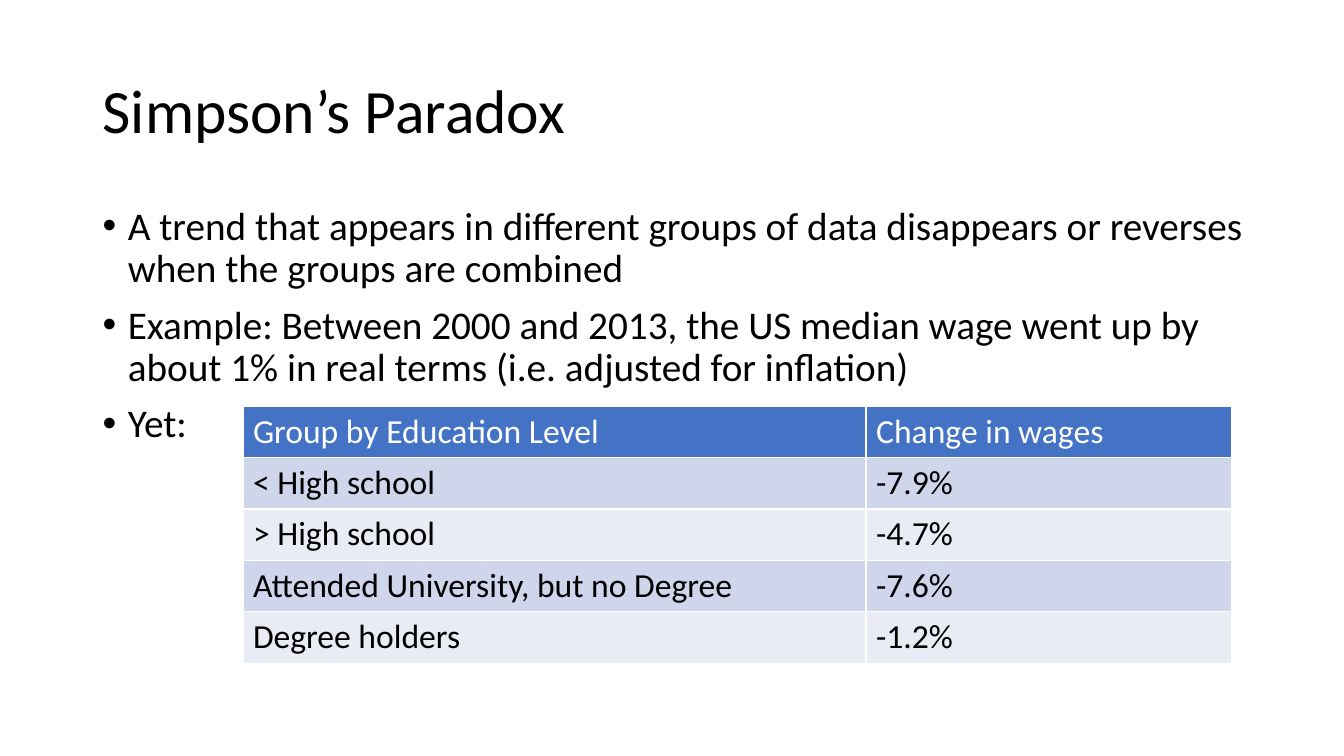
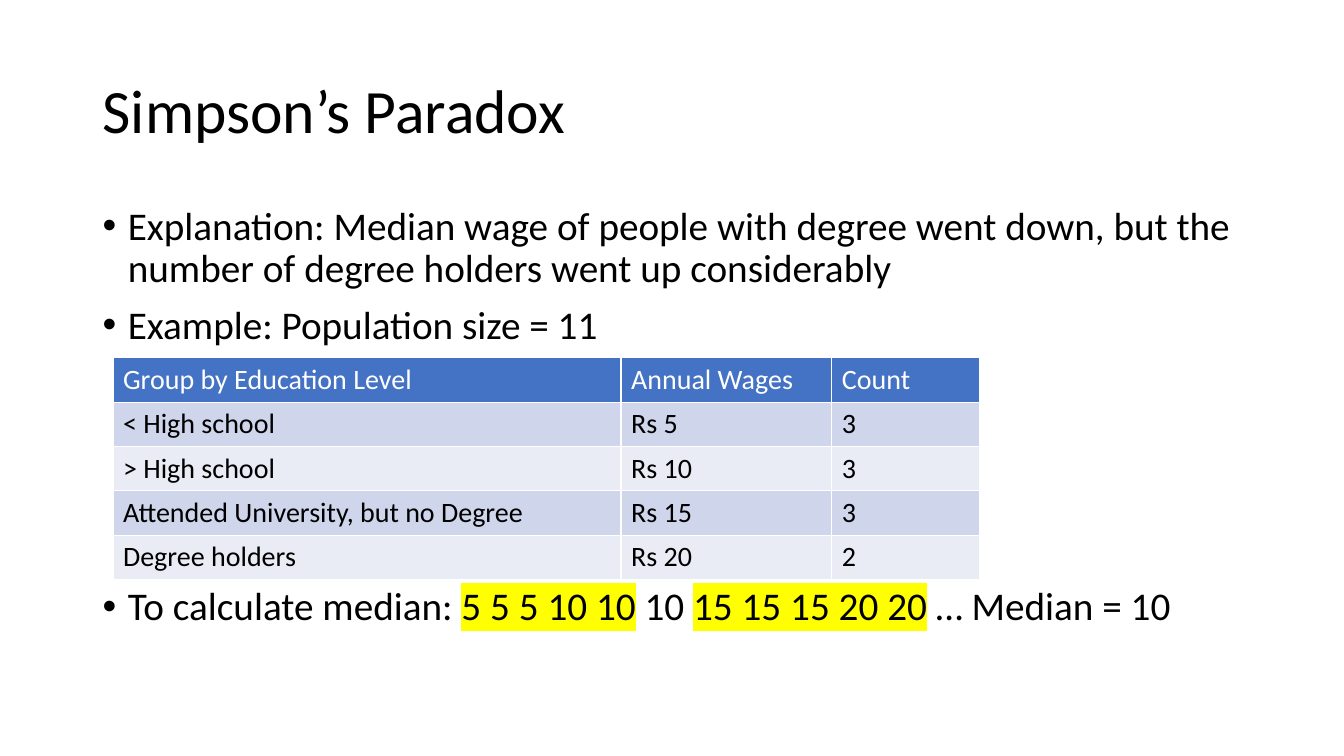
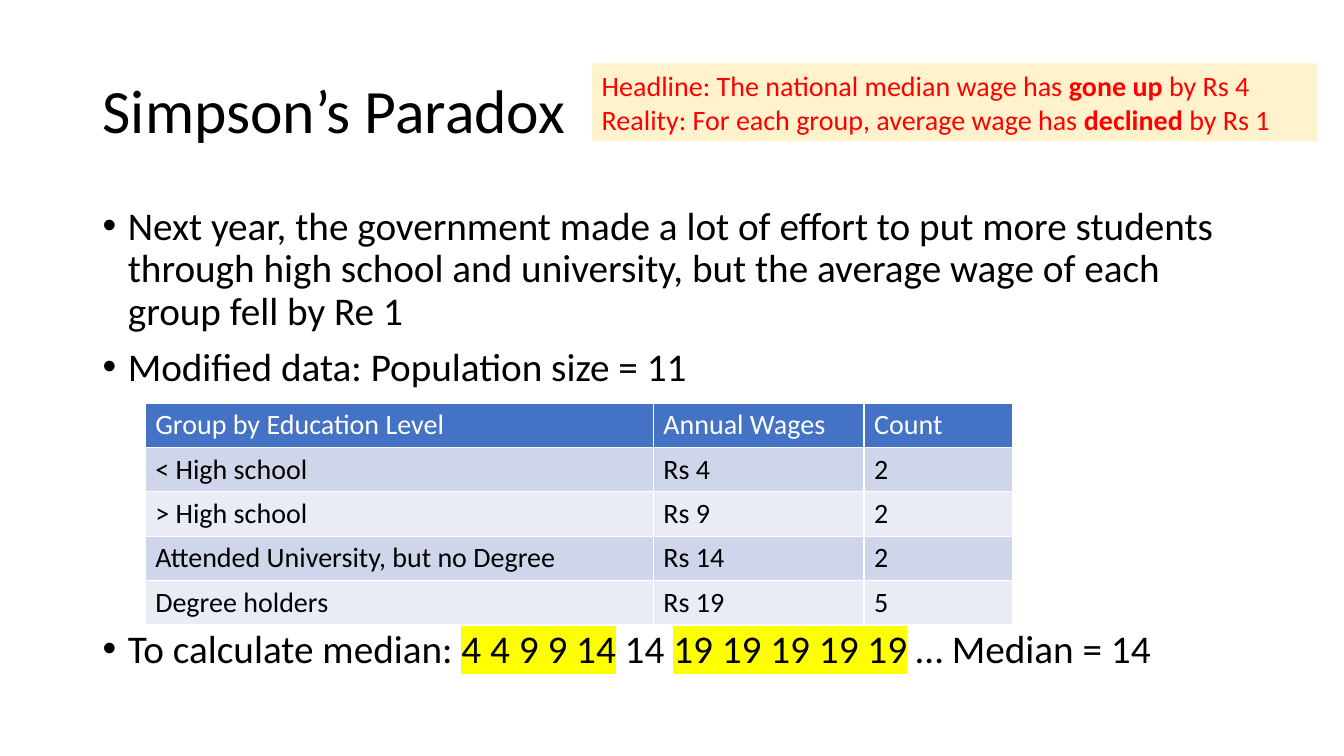
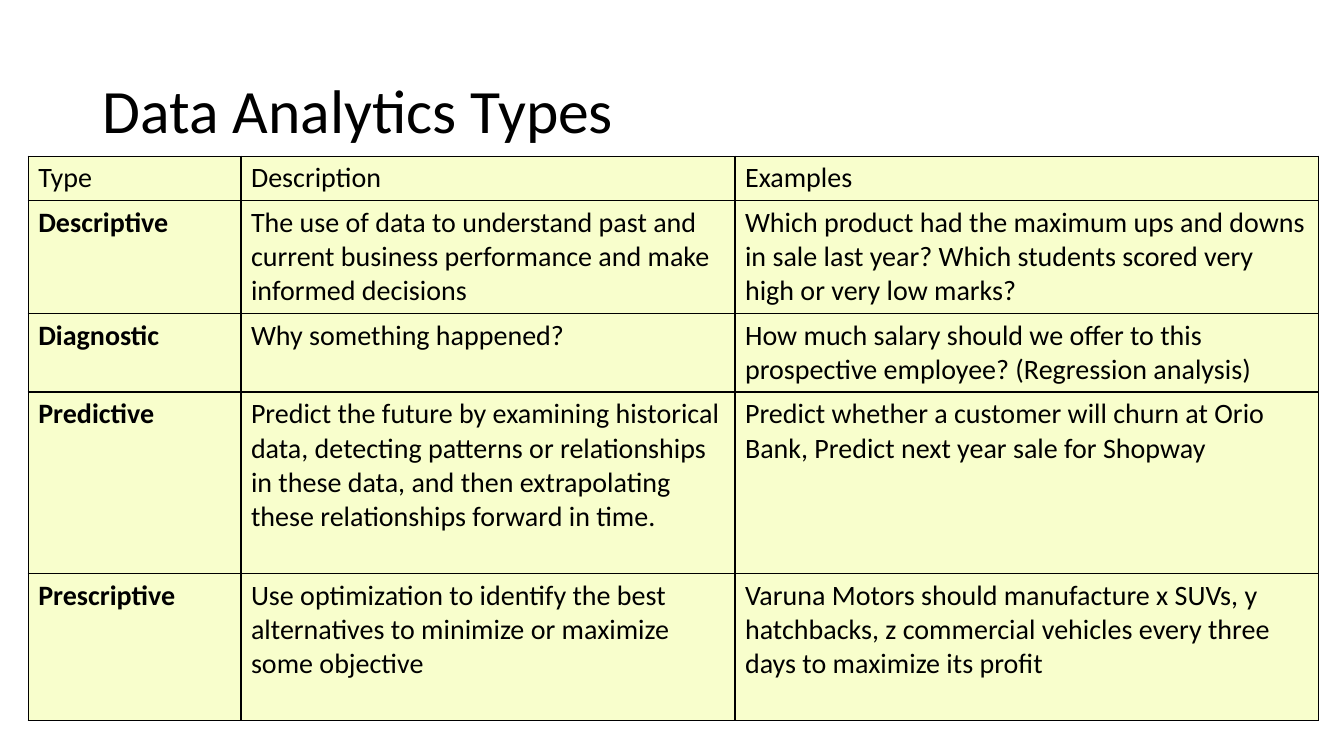
"""Builds four slides on Simpson's paradox and the types of data analytics."""
import dataclasses
import typing

import lxml.etree
import pptx
import pptx.dml.color
import pptx.dml.fill
import pptx.enum.shapes
import pptx.enum.text
import pptx.oxml.ns
import pptx.slide
import pptx.text.text
import pptx.util

Inches = pptx.util.Inches
Pt = pptx.util.Pt

FONT = "Calibri"
BLACK = "000000"
WHITE = "FFFFFF"
RED = "FF0000"
YELLOW = "FFFF00"
CREAM = "FFF2CC"
BLUE = "4472C4"
BANDS = ("CFD5EA", "E9EBF5")
PALE_LIME = "F8FECC"
BODY_SIZE = 28
BULLET_GAP = 10
GAP_AROUND_TABLE = 171


@dataclasses.dataclass(frozen=True)
class Span:
    text: str
    bold: bool = False
    highlight: str = ""


@dataclasses.dataclass(frozen=True)
class Bullet:
    spans: tuple[Span, ...]
    space_before: float = BULLET_GAP


@dataclasses.dataclass(frozen=True)
class Grid:
    left: float
    top: float
    columns: tuple[float, ...]
    row_heights: tuple[float, ...]
    rows: tuple[tuple[str, ...], ...]
    size: float
    header_fill: str = BLUE
    header_color: str = WHITE
    bands: tuple[str, ...] = BANDS
    border: str = WHITE
    bold_labels: bool = False


@dataclasses.dataclass(frozen=True)
class Lesson:
    title: str
    bullets: tuple[Bullet, ...]
    grid: Grid
    callout: tuple[tuple[Span, ...], ...] = ()


def paint(fill: pptx.dml.fill.FillFormat, color: str) -> None:
    fill.solid()
    fill.fore_color.rgb = pptx.dml.color.RGBColor.from_string(color)


def add_xml(parent: typing.Any, tag: str, **attributes: str) -> typing.Any:
    return lxml.etree.SubElement(parent, pptx.oxml.ns.qn(tag), attributes)


def format_run(run: typing.Any, size: float, color: str, bold: bool = False) -> None:
    run.font.name = FONT
    run.font.size = Pt(size)
    run.font.bold = bold
    paint(run.font.fill, color)


def write_spans(paragraph: typing.Any, spans: tuple[Span, ...], size: float, color: str) -> None:
    for span in spans:
        run = paragraph.add_run()
        run.text = span.text
        format_run(run, size, color, span.bold)
        if span.highlight:
            properties = run.font._element
            highlight = add_xml(properties, "a:highlight")
            add_xml(highlight, "a:srgbClr", val=span.highlight)
            properties.find(pptx.oxml.ns.qn("a:solidFill")).addnext(highlight)


def paragraphs(frame: pptx.text.text.TextFrame, count: int) -> tuple[typing.Any, ...]:
    for _ in range(count - 1):
        frame.add_paragraph()
    return frame.paragraphs


def add_frame(slide: pptx.slide.Slide, top: float, height: float) -> pptx.text.text.TextFrame:
    frame = slide.shapes.add_textbox(Inches(0.92), Inches(top), Inches(11.5), Inches(height)).text_frame
    frame.word_wrap = True
    return frame


def add_title(slide: pptx.slide.Slide, title: str) -> None:
    frame = add_frame(slide, 0.4, 1.45)
    frame.vertical_anchor = pptx.enum.text.MSO_ANCHOR.MIDDLE
    frame.text = title
    frame.paragraphs[0].line_spacing = 0.9
    format_run(frame.paragraphs[0].runs[0], 44, BLACK)


def add_bullets(slide: pptx.slide.Slide, bullets: tuple[Bullet, ...]) -> None:
    frame = add_frame(slide, 2, 4.76)
    for paragraph, bullet in zip(paragraphs(frame, len(bullets)), bullets):
        paragraph.line_spacing = 0.9
        paragraph.space_before = Pt(bullet.space_before)
        properties = paragraph._p.get_or_add_pPr()
        properties.set("marL", str(Inches(0.25)))
        properties.set("indent", str(Inches(-0.25)))
        add_xml(properties, "a:buFont", typeface="Arial")
        add_xml(properties, "a:buChar", char="•")
        write_spans(paragraph, bullet.spans, BODY_SIZE, BLACK)


def add_borders(cell: typing.Any, color: str) -> None:
    properties = cell._tc.get_or_add_tcPr()
    for side in ("a:lnL", "a:lnR", "a:lnT", "a:lnB"):
        line = add_xml(properties, side, w=str(Pt(1)))
        add_xml(add_xml(line, "a:solidFill"), "a:srgbClr", val=color)


def add_grid(slide: pptx.slide.Slide, grid: Grid) -> None:
    table = slide.shapes.add_table(
        len(grid.rows), len(grid.columns), Inches(grid.left), Inches(grid.top),
        Inches(sum(grid.columns)), Inches(sum(grid.row_heights)),
    ).table
    for column, width in zip(table.columns, grid.columns):
        column.width = Inches(width)
    for row, height in zip(table.rows, grid.row_heights):
        row.height = Inches(height)
    for row_index, texts in enumerate(grid.rows):
        is_header = row_index == 0
        fill = grid.header_fill if is_header else grid.bands[(row_index - 1) % len(grid.bands)]
        for column_index, text in enumerate(texts):
            cell = table.cell(row_index, column_index)
            add_borders(cell, grid.border)
            paint(cell.fill, fill)
            cell.text_frame.text = text
            bold = grid.bold_labels and column_index == 0 and not is_header
            format_run(cell.text_frame.paragraphs[0].runs[0], grid.size,
                       grid.header_color if is_header else BLACK, bold)


def add_callout(slide: pptx.slide.Slide, lines: tuple[tuple[Span, ...], ...]) -> None:
    callout = slide.shapes.add_shape(
        pptx.enum.shapes.MSO_SHAPE.RECTANGLE, Inches(5.87), Inches(0.63), Inches(7.2), Inches(0.77))
    callout.shadow.inherit = False
    callout.line.fill.background()
    paint(callout.fill, CREAM)
    frame = callout.text_frame
    frame.word_wrap = True
    frame.vertical_anchor = pptx.enum.text.MSO_ANCHOR.TOP
    for paragraph, spans in zip(paragraphs(frame, len(lines)), lines):
        paragraph.alignment = pptx.enum.text.PP_ALIGN.LEFT
        write_spans(paragraph, spans, 20, RED)


def plain(text: str) -> Bullet:
    return Bullet((Span(text),))


def median_bullet(lower: str, median: str, upper: str) -> Bullet:
    return Bullet((
        Span("To calculate median: "), Span(lower, highlight=YELLOW), Span(f" {median} "),
        Span(upper, highlight=YELLOW), Span(f" … Median = {median}"),
    ), GAP_AROUND_TABLE)


def education_rows(headings: tuple[str, ...], *columns: tuple[str, ...]) -> tuple[tuple[str, ...], ...]:
    levels = ("< High school", "> High school", "Attended University, but no Degree", "Degree holders")
    return (("Group by Education Level", *headings), *zip(levels, *columns))


def wage_grid(left: float, top: float, wages: tuple[str, ...], counts: tuple[str, ...]) -> Grid:
    rows = education_rows(("Annual Wages", "Count"), wages, counts)
    return Grid(left, top, (5.04, 2.09, 1.47), (0.44,) * len(rows), rows, 20)


PARADOX = "Simpson’s Paradox"

LESSONS = (
    Lesson(
        PARADOX,
        (
            plain("A trend that appears in different groups of data disappears or reverses "
                  "when the groups are combined"),
            plain("Example: Between 2000 and 2013, the US median wage went up by about 1% "
                  "in real terms (i.e. adjusted for inflation)"),
            plain("Yet:"),
        ),
        Grid(2.41, 4.03, (6.18, 3.63), (0.51,) * 5,
             education_rows(("Change in wages",), ("-7.9%", "-4.7%", "-7.6%", "-1.2%")), 24),
    ),
    Lesson(
        PARADOX,
        (
            plain("Explanation: Median wage of people with degree went down, but the number of "
                  "degree holders went up considerably"),
            plain("Example: Population size = 11"),
            median_bullet("5 5 5 10 10", "10", "15 15 15 20 20"),
        ),
        wage_grid(1.12, 3.55, ("Rs 5", "Rs 10", "Rs 15", "Rs 20"), ("3", "3", "3", "2")),
    ),
    Lesson(
        PARADOX,
        (
            plain("Next year, the government made a lot of effort to put more students through "
                  "high school and university, but the average wage of each group fell by Re 1"),
            plain("Modified data: Population size = 11"),
            median_bullet("4 4 9 9 14", "14", "19 19 19 19 19"),
        ),
        wage_grid(1.44, 4, ("Rs 4", "Rs 9", "Rs 14", "Rs 19"), ("2", "2", "2", "5")),
        (
            (Span("Headline: The national median wage has "), Span("gone up ", bold=True),
             Span("by Rs 4")),
            (Span("Reality: For each group, average wage has "), Span("declined ", bold=True),
             Span("by Rs 1")),
        ),
    ),
    Lesson(
        "Data Analytics Types",
        (),
        Grid(
            0.28, 1.55, (2.11, 4.9, 5.79), (0.44, 1.12, 0.78, 1.8, 1.46),
            (
                ("Type", "Description", "Examples"),
                ("Descriptive",
                 "The use of data to understand past and current business performance and make "
                 "informed decisions",
                 "Which product had the maximum ups and downs in sale last year? Which students "
                 "scored very high or very low marks?"),
                ("Diagnostic",
                 "Why something happened?",
                 "How much salary should we offer to this prospective employee? "
                 "(Regression analysis)"),
                ("Predictive",
                 "Predict the future by examining historical data, detecting patterns or "
                 "relationships in these data, and then extrapolating these relationships "
                 "forward in time.",
                 "Predict whether a customer will churn at Orio Bank, Predict next year sale "
                 "for Shopway"),
                ("Prescriptive",
                 "Use optimization to identify the best alternatives to minimize or maximize "
                 "some objective",
                 "Varuna Motors should manufacture x SUVs, y hatchbacks, z commercial vehicles "
                 "every three days to maximize its profit"),
            ),
            20, PALE_LIME, BLACK, (PALE_LIME,), BLACK, True,
        ),
    ),
)


def main() -> None:
    deck = pptx.Presentation()
    deck.slide_width = Inches(13.33)
    deck.slide_height = Inches(7.5)
    for lesson in LESSONS:
        slide = deck.slides.add_slide(deck.slide_layouts[6])
        add_title(slide, lesson.title)
        if lesson.bullets:
            add_bullets(slide, lesson.bullets)
        add_grid(slide, lesson.grid)
        if lesson.callout:
            add_callout(slide, lesson.callout)
    deck.save("out.pptx")


if __name__ == "__main__":
    main()
